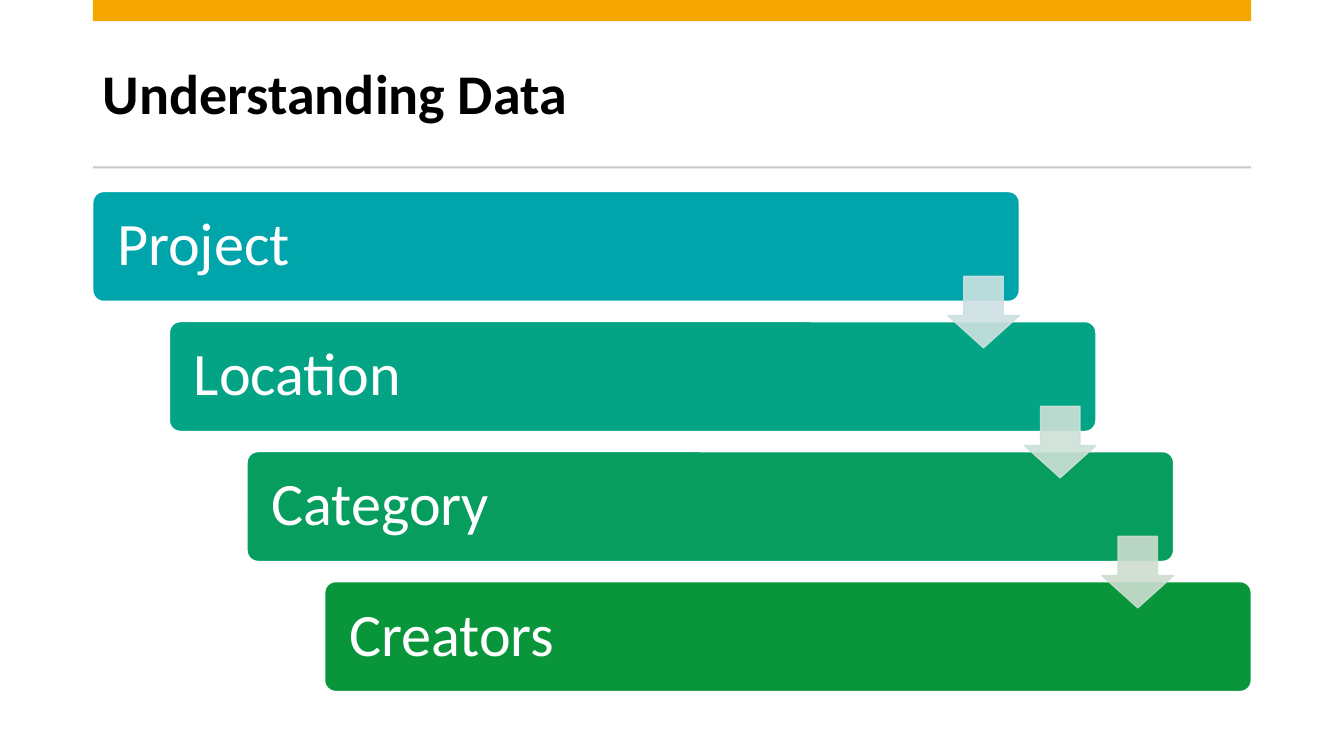
"""Build the "Understanding Data" slide with its descending staircase of steps."""
from lxml.etree import SubElement
from pptx import Presentation
from pptx.dml.color import RGBColor
from pptx.enum.shapes import MSO_SHAPE as Shape
from pptx.enum.text import MSO_ANCHOR as Anchor, PP_ALIGN as Align
from pptx.oxml.ns import qn
from pptx.util import Pt

BLACK = RGBColor(0x00, 0x00, 0x00)
WHITE = RGBColor(0xFF, 0xFF, 0xFF)
AMBER = RGBColor(0xF5, 0xA7, 0x00)
GREY = RGBColor(0xC9, 0xC9, 0xC9)
STEPS = [
    ("Project", RGBColor(0x00, 0xA5, 0xAB), RGBColor(0xCC, 0xE1, 0xE2)),
    ("Location", RGBColor(0x03, 0xA4, 0x85), RGBColor(0xCC, 0xE0, 0xD8)),
    ("Category", RGBColor(0x06, 0x9D, 0x5E), RGBColor(0xCC, 0xDD, 0xCF)),
    ("Creators", RGBColor(0x09, 0x96, 0x3B), None),
]
LEFT, WIDTH = 92, 1149
BAR_WIDTH, BAR_HEIGHT = 919, 109
FIRST_TOP, ROW_PITCH = 190, 129
ARROW_SIZE, ARROW_DROP = 71, 84


class SlideBuilder:
    """Hold the style and the current slide, and draw each kind of element."""

    font = "Calibri"
    scale = 9144

    def __init__(self, deck):
        """Add a title-only slide to the deck."""
        deck.slide_width, deck.slide_height = self.px(1333, 750)
        self.slide = deck.slides.add_slide(deck.slide_layouts[5])

    def px(self, *lengths):
        """Turn px lengths into EMU."""
        return [length * self.scale for length in lengths]

    def label(self, shape, text, size, color, bold=False):
        """Set left-aligned, vertically centred text in a shape."""
        frame = shape.text_frame
        frame.text = text
        frame.word_wrap = True
        frame.vertical_anchor = Anchor.MIDDLE
        para = frame.paragraphs[0]
        para.alignment = Align.LEFT
        para.line_spacing = 0.9
        font = para.runs[0].font
        font.name, font.size, font.bold = self.font, Pt(size), bold
        font.color.rgb = color

    def title(self, text, left, top, width, height):
        """Place and format the title placeholder."""
        title = self.slide.shapes.title
        title.left, title.top, title.width, title.height = self.px(left, top, width, height)
        self.label(title, text, 40, BLACK, bold=True)

    def block(self, kind, left, top, width, height, fill, line=None):
        """Draw a filled preset shape with an optional outline."""
        shape = self.slide.shapes.add_shape(kind, *self.px(left, top, width, height))
        shape.shadow.inherit = False
        shape.fill.solid()
        shape.fill.fore_color.rgb = fill
        if line is None:
            shape.line.fill.background()
        else:
            shape.line.color.rgb = line
            shape.line.width = Pt(1)
        return shape

    def step(self, text, left, top, fill):
        """Draw one labelled rounded bar."""
        bar = self.block(Shape.ROUNDED_RECTANGLE, left, top, BAR_WIDTH, BAR_HEIGHT, fill, WHITE)
        bar.adjustments[0] = 0.1
        self.label(bar, text, 43, WHITE)
        bar.text_frame.margin_left = self.px(21)[0]

    def arrow(self, left, top, color):
        """Draw a slightly transparent down arrow."""
        arrow = self.block(Shape.DOWN_ARROW, left, top, ARROW_SIZE, ARROW_SIZE, color, color)
        arrow.adjustments[0] = 0.55
        arrow.adjustments[1] = 0.45
        for tint in arrow.element.spPr.iter(qn("a:srgbClr")):
            SubElement(tint, qn("a:alpha"), val="90000")


def main():
    """Build the slide and save it."""
    deck = Presentation()
    page = SlideBuilder(deck)
    page.title("Understanding Data", LEFT, 37, WIDTH, 118)
    page.block(Shape.RECTANGLE, LEFT, 0, WIDTH, 21, AMBER)
    page.block(Shape.RECTANGLE, LEFT, 165, WIDTH, 2, GREY)

    shift = WIDTH - BAR_WIDTH
    places = [(LEFT + shift * row // (len(STEPS) - 1), FIRST_TOP + ROW_PITCH * row)
              for row in range(len(STEPS))]
    for (text, fill, _), (left, top) in zip(STEPS, places):
        page.step(text, left, top, fill)
    for (_, _, tint), (left, top) in zip(STEPS[:-1], places):
        page.arrow(left + BAR_WIDTH - ARROW_SIZE, top + ARROW_DROP, tint)
    deck.save("out.pptx")


if __name__ == "__main__":
    main()
